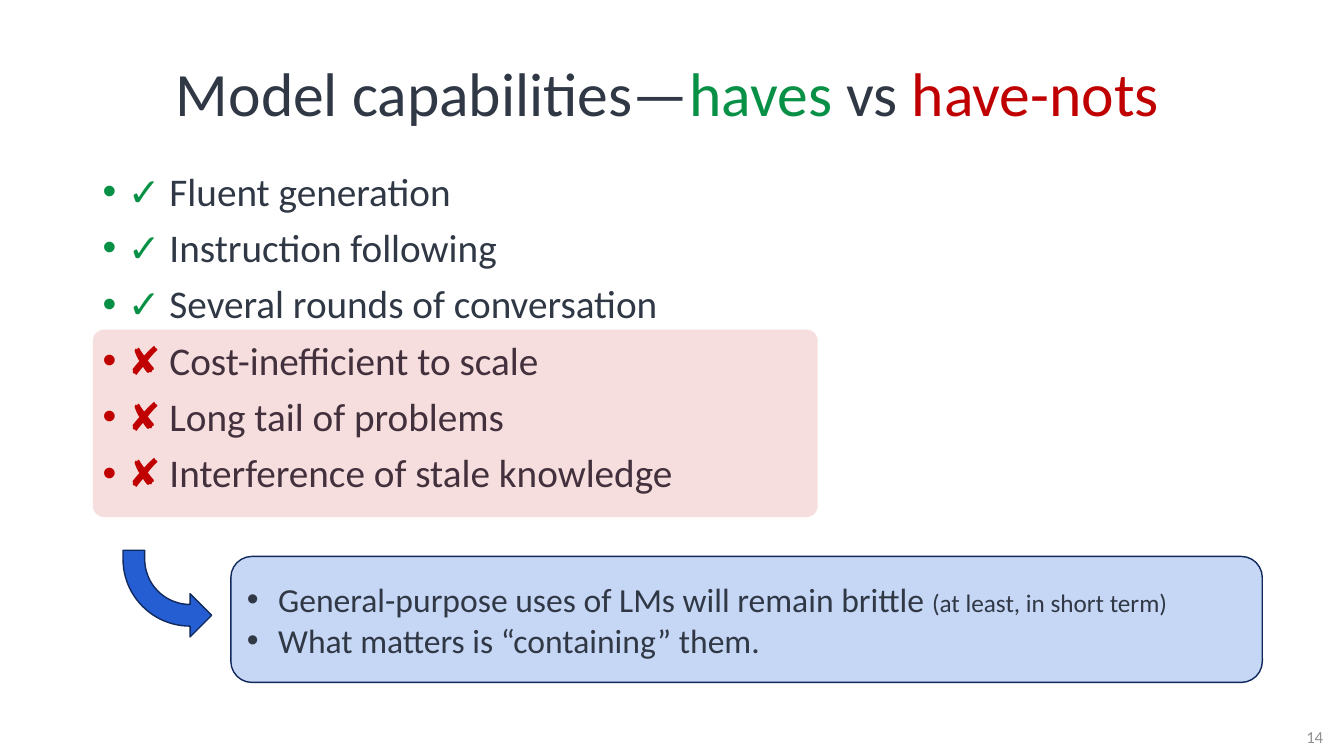
"""Builds the slide on model capabilities: haves versus have-nots."""
from lxml import etree
from pptx import Presentation
from pptx import util as u
from pptx.dml.color import RGBColor
from pptx.enum import shapes, text
from pptx.oxml import ns

INK = RGBColor(0x30, 0x38, 0x45)
GREEN = RGBColor(0x08, 0x91, 0x46)
RED = RGBColor(0xC0, 0x00, 0x00)
GREY = RGBColor(0x8F, 0x91, 0x94)
BLUE = RGBColor(0x25, 0x5E, 0xD3)
PALE = RGBColor(0xC6, 0xD6, 0xF5)
NAVY = RGBColor(0x10, 0x29, 0x5C)
KIND = shapes.MSO_SHAPE
ALIGN = text.PP_ALIGN
MIDDLE = text.MSO_ANCHOR.MIDDLE


class Deck:
    font = "Calibri"

    def __init__(self):
        self.file = Presentation()
        self.file.slide_width = u.Inches(13.33)
        self.file.slide_height = u.Inches(7.5)
        self.slide = self.file.slides.add_slide(self.file.slide_layouts[5])

    def fill_in(self, para, runs, size, align=ALIGN.LEFT):
        para.alignment = align
        para.font.name = self.font
        para.font.size = u.Pt(size)
        para.font.color.rgb = INK
        for words, look in runs:
            run = para.add_run()
            run.text = words
            if "color" in look:
                run.font.color.rgb = look["color"]
            if "bold" in look:
                run.font.bold = look["bold"]
            if "size" in look:
                run.font.size = u.Pt(look["size"])

    def bullet(self, para, indent):
        props = para._p.get_or_add_pPr()
        props.set("marL", str(u.Inches(indent)))
        props.set("indent", str(-u.Inches(indent)))
        font = etree.SubElement(props, ns.qn("a:buFont"))
        font.set("typeface", "Arial")
        etree.SubElement(props, ns.qn("a:buChar")).set("char", "•")

    def title(self, box, runs):
        shape = self.slide.shapes.title
        shape.left, shape.top, shape.width, shape.height = map(u.Inches, box)
        shape.text_frame.vertical_anchor = MIDDLE
        para = shape.text_frame.paragraphs[0]
        para.line_spacing = 0.9
        self.fill_in(para, runs, 44, ALIGN.CENTER)

    def label(self, box):
        frame = self.slide.shapes.add_textbox(*map(u.Inches, box)).text_frame
        frame.word_wrap = True
        return frame

    def items(self, frame, rows, size, indent, gap=0, lead=1.0):
        for i, runs in enumerate(rows):
            para = frame.add_paragraph() if i else frame.paragraphs[0]
            self.bullet(para, indent)
            para.line_spacing = lead
            para.space_before = u.Pt(gap if i else 0)
            self.fill_in(para, runs, size)

    def shape(self, kind, box, fill, line=None, adjust=(), alpha=None):
        item = self.slide.shapes.add_shape(kind, *map(u.Inches, box))
        item.shadow.inherit = False
        item.fill.solid()
        item.fill.fore_color.rgb = fill
        if line is None:
            item.line.fill.background()
        else:
            item.line.color.rgb = line
            item.line.width = u.Pt(1)
        for i, value in enumerate(adjust):
            item.adjustments[i] = value
        if alpha is not None:
            color = item.element.spPr.find(".//" + ns.qn("a:srgbClr"))
            etree.SubElement(color, ns.qn("a:alpha")).set("val", str(alpha * 1000))
        return item


def main():
    deck = Deck()
    deck.title((0.22, 0.41, 12.94, 1.1), [
        ("Model capabilities—", {}), ("haves", {"color": GREEN}),
        (" vs ", {}), ("have-nots ", {"color": RED})])

    haves = ["Fluent generation", "Instruction following",
             "Several rounds of conversation"]
    lacks = ["Cost-inefficient to scale", "Long tail of problems",
             "Interference of stale knowledge"]
    rows = [[("✓ ", {"color": GREEN, "bold": True}), (name, {})] for name in haves]
    rows += [[("✘ ", {"color": RED}), (name, {})] for name in lacks]
    body = deck.label((0.92, 1.66, 12.11, 5.1))
    deck.items(body, rows, 28, 0.25, gap=10, lead=0.9)

    page = deck.label((12.75, 7.11, 0.58, 0.4))
    page.vertical_anchor = MIDDLE
    deck.fill_in(page.paragraphs[0], [("14", {"color": GREY})], 12, ALIGN.CENTER)

    note = deck.shape(KIND.FLOWCHART_ALTERNATE_PROCESS, (2.29, 5.52, 10.23, 1.25),
                      PALE, NAVY).text_frame
    note.word_wrap = True
    note.vertical_anchor = MIDDLE
    deck.items(note, [
        [("General-purpose uses of LMs will remain brittle ", {}),
         ("(at least, in short term)", {"size": 18})],
        [("What matters is “containing” them.", {})]], 24, 0.31)

    deck.shape(KIND.ROUNDED_RECTANGLE, (0.92, 3.27, 7.19, 1.86), RED,
               adjust=[0.06], alpha=13)
    arrow = deck.shape(KIND.BENT_ARROW, (1.22, 5.46, 0.88, 0.86), BLUE, NAVY,
                       adjust=[0.25, 0.25, 0.25, 0.875])
    arrow.element.spPr.xfrm.set("flipV", "1")
    deck.file.save("out.pptx")


if __name__ == "__main__":
    main()
